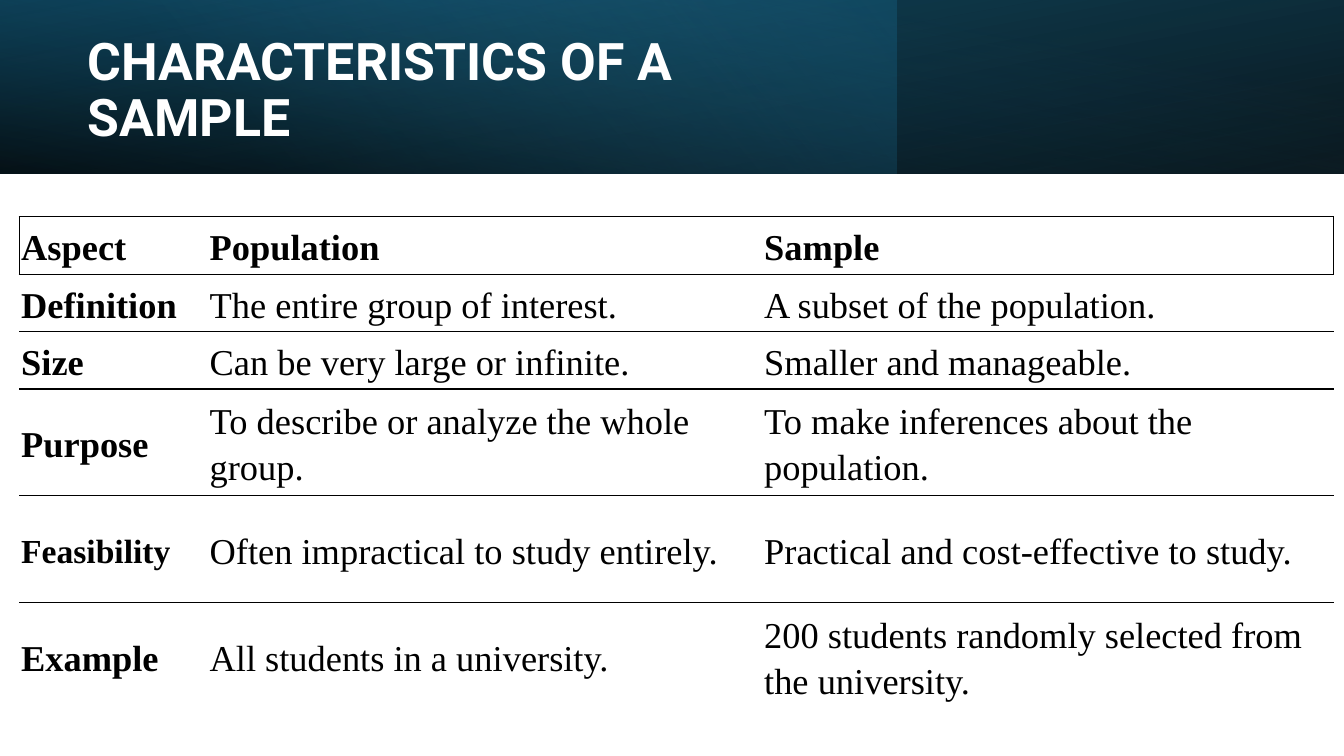
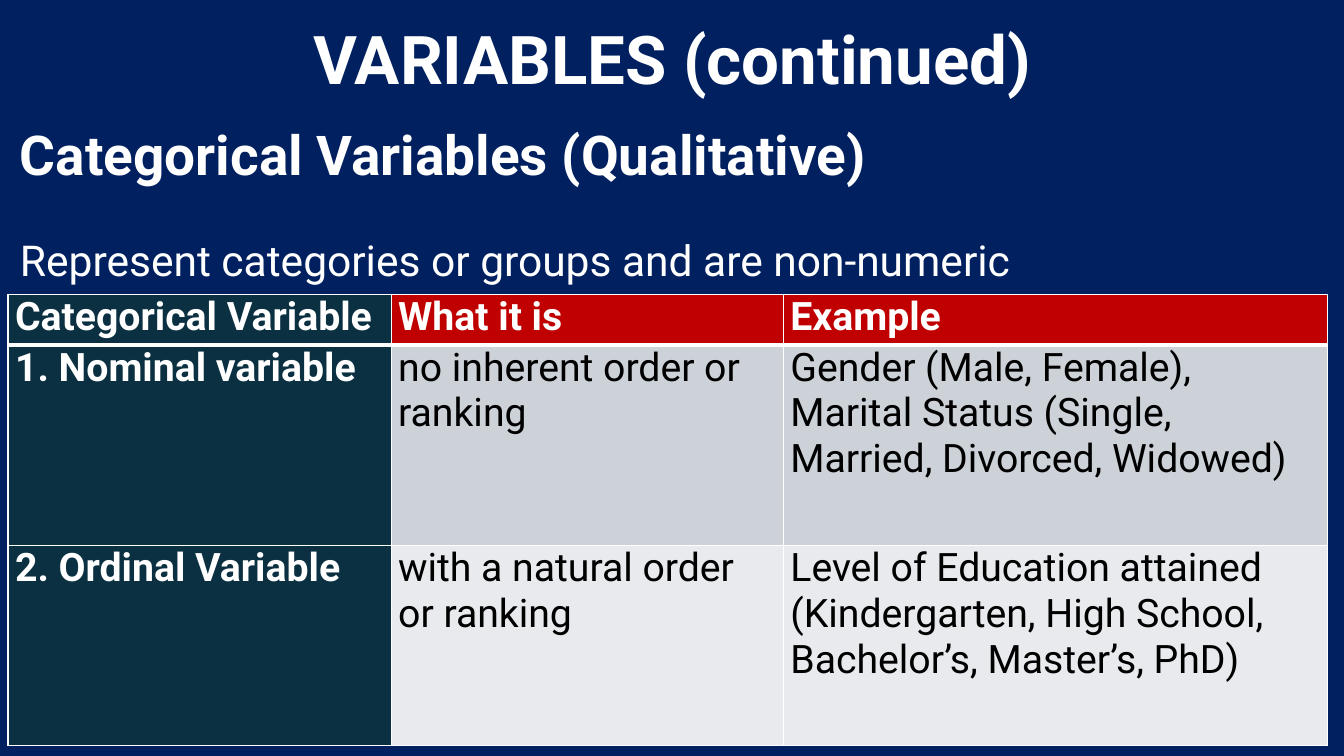
from dataclasses import dataclass

from lxml.etree import SubElement
from pptx import Presentation
from pptx.dml.color import RGBColor
from pptx.enum.shapes import MSO_SHAPE as SHAPE
from pptx.enum.text import MSO_ANCHOR as ANCHOR, MSO_AUTO_SIZE as AUTO, PP_ALIGN as ALIGN
from pptx.oxml import parse_xml
from pptx.oxml.ns import nsdecls, qn
from pptx.util import Inches, Pt


@dataclass(frozen=True)
class Theme:
    white: str = "FFFFFF"
    black: str = "000000"
    navy: str = "002060"
    teal: str = "156082"
    deep_teal: str = "104862"
    sky: str = "46B1E1"
    label: str = "0B3041"
    red: str = "C00000"
    stripes: tuple = ("CCD2D8", "E8EAED")
    sans: str = "Roboto"
    serif: str = "Times New Roman"
    band_title: float = 37
    title: float = 48
    heading: float = 39.2
    lead: float = 30.4
    grid: float = 28
    plain: float = 26
    plain_small: float = 24


T = Theme()


def rgb(color):
    return RGBColor.from_string(color)


def write(p, text, *, size, font=T.sans, color=T.white, bold=False,
          align=None, spacing=None, before=None):
    """Add text to a paragraph and set its format."""
    r = p.add_run()
    r.text = text
    r.font.name, r.font.size, r.font.bold = font, Pt(size), bold
    r.font.color.rgb = rgb(color)
    if align is not None:
        p.alignment = align
    if spacing is not None:
        p.line_spacing = spacing
    if before is not None:
        p.space_before = Pt(before)


def set_borders(cell, color, widths):
    """Set left, right, top and bottom lines in points; 0 means no line."""
    tcPr = cell._tc.get_or_add_tcPr()
    for i, (side, width) in enumerate(zip("LRTB", widths)):
        ln = parse_xml(f'<a:ln{side} {nsdecls("a")} w="{Pt(width)}"/>')
        if width:
            fill = SubElement(ln, qn("a:solidFill"))
            SubElement(fill, qn("a:srgbClr"), val=color)
        else:
            SubElement(ln, qn("a:noFill"))
        tcPr.insert(i, ln)


class Deck:
    def __init__(self):
        self.prs = Presentation()
        self.prs.slide_width, self.prs.slide_height = Inches(13.33), Inches(7.5)
        self.s = None

    def slide(self, background):
        self.s = self.prs.slides.add_slide(self.prs.slide_layouts[5])
        fill = self.s.background.fill
        fill.solid()
        fill.fore_color.rgb = rgb(background)

    def title(self, text, x, y, w, h, anchor=ANCHOR.MIDDLE, align=ALIGN.LEFT, size=T.title):
        sp = self.s.shapes.title
        sp.left, sp.top, sp.width, sp.height = map(Inches, (x, y, w, h))
        self.s.shapes._spTree.append(sp._element)  # bring above the bands
        tf = sp.text_frame
        tf.auto_size, tf.word_wrap, tf.vertical_anchor = AUTO.NONE, True, anchor
        write(tf.paragraphs[0], text, size=size, bold=True, align=align, spacing=0.9)

    def band(self, width, stops, angle, flip=False, rotation=0):
        """Add a top band; stops are (position %, color, opacity %)."""
        sp = self.s.shapes.add_shape(SHAPE.RECTANGLE, 0, 0, Inches(width), Inches(1.72))
        sp.shadow.inherit = False
        sp.rotation = rotation
        sp.line.fill.background()
        sp.fill.background()
        spPr = sp._element.spPr
        if flip:
            spPr.find(qn("a:xfrm")).set("flipH", "1")
        grad = parse_xml(f'<a:gradFill {nsdecls("a")} rotWithShape="1"/>')
        gsLst = SubElement(grad, qn("a:gsLst"))
        for pos, color, opacity in stops:
            gs = SubElement(gsLst, qn("a:gs"), pos=str(pos * 1000))
            clr = SubElement(gs, qn("a:srgbClr"), val=color)
            SubElement(clr, qn("a:alpha"), val=str(opacity * 1000))
        SubElement(grad, qn("a:lin"), ang=str(angle * 60000), scaled="0")
        spPr.replace(spPr.find(qn("a:noFill")), grad)

    def text(self, x, y, w, h, paragraphs):
        tf = self.s.shapes.add_textbox(*map(Inches, (x, y, w, h))).text_frame
        tf.word_wrap = True
        for i, (text, fmt) in enumerate(paragraphs):
            p = tf.add_paragraph() if i else tf.paragraphs[0]
            write(p, text, **fmt)

    def table(self, x, y, cols, rows, data, *, style, fill, line, h_rules, v_rule,
              margins, anchor=ANCHOR.TOP):
        """style(r, c) gives text format, fill(r, c) a color, v_rule(r, edge) a width."""
        tbl = self.s.shapes.add_table(
            len(rows), len(cols), *map(Inches, (x, y, sum(cols), sum(rows)))).table
        tbl.first_row = tbl.horz_banding = False
        for col, width in zip(tbl.columns, cols):
            col.width = Inches(width)
        for row, height in zip(tbl.rows, rows):
            row.height = Inches(height)
        mx, my = map(Inches, margins)
        for r, texts in enumerate(data):
            for c, text in enumerate(texts):
                cell = tbl.cell(r, c)
                cell.margin_left = cell.margin_right = mx
                cell.margin_top = cell.margin_bottom = my
                cell.vertical_anchor = anchor
                color = fill(r, c)
                if color:
                    cell.fill.solid()
                    cell.fill.fore_color.rgb = rgb(color)
                else:
                    cell.fill.background()
                set_borders(cell, line, (v_rule(r, c), v_rule(r, c + 1),
                                         h_rules[r], h_rules[r + 1]))
                write(cell.text_frame.paragraphs[0], text, **style(r, c))


def sample_slide(d):
    d.slide(T.white)
    # Layered gradient bands
    d.band(13.33, [(0, T.black, 96), (100, T.deep_teal, 100)], 100, flip=True, rotation=180)
    d.band(8.89, [(0, T.teal, 41), (74, T.sky, 0), (100, T.sky, 0)], 140)
    d.band(13.33, [(0, T.black, 63), (78, T.teal, 15), (100, T.teal, 15)], 260, flip=True)
    d.title("CHARACTERISTICS OF A SAMPLE", 0.77, 0.27, 7.72, 1.27, size=T.band_title)

    # Population and sample compared
    data = [
        ("Aspect", "Population", "Sample"),
        ("Definition", "The entire group of interest.", "A subset of the population."),
        ("Size", "Can be very large or infinite.", "Smaller and manageable."),
        ("Purpose", "To describe or analyze the whole group.",
         "To make inferences about the population."),
        ("Feasibility", "Often impractical to study entirely.",
         "Practical and cost-effective to study."),
        ("Example", "All students in a university.",
         "200 students randomly selected from the university."),
    ]

    def style(r, c):
        size = T.plain_small if data[r][c] == "Feasibility" else T.plain
        return dict(size=size, font=T.serif, color=T.black,
                    bold=r == 0 or c == 0, spacing=1.15)

    d.table(0.19, 2.15, (1.87, 5.5, 5.67), [0.57] * 3 + [1.06] * 3, data,
            style=style, fill=lambda r, c: None, line=T.black,
            h_rules=[1] * 6 + [0], v_rule=lambda r, edge: int(r == 0 and edge in (0, 3)),
            margins=(0.02, 0.02), anchor=ANCHOR.MIDDLE)


def variables_slide(d):
    d.slide(T.navy)
    d.title("VARIABLES (continued)", 1.67, 0.04, 10, 0.99,
            anchor=ANCHOR.BOTTOM, align=ALIGN.CENTER)
    d.text(0.1, 1.33, 13.07, 1.6, [
        ("Categorical Variables (Qualitative)", dict(size=T.heading, bold=True, spacing=0.7)),
        ("Represent categories or groups and are non-numeric",
         dict(size=T.lead, spacing=0.7, before=45)),
    ])

    # Kinds of categorical variable
    def style(r, c):
        label = r == 0 or c == 0
        return dict(size=T.grid, color=T.white if label else T.black, bold=label)

    def fill(r, c):
        if c == 0:
            return T.label
        return T.stripes[r - 1] if r else T.red

    d.table(0.08, 2.92, (3.8, 3.89, 5.4), (0.5, 1.99, 1.99), [
        ("Categorical Variable", "What it is", "Example"),
        ("1. Nominal variable", "no inherent order or ranking",
         "Gender (Male, Female), Marital Status (Single, Married, Divorced, Widowed)"),
        ("2. Ordinal Variable", "with a natural order or ranking",
         "Level of Education attained (Kindergarten, High School, Bachelor’s, Master’s, PhD)"),
    ], style=style, fill=fill, line=T.white, h_rules=(1, 3, 1, 1),
        v_rule=lambda r, edge: 1, margins=(0.07, 0))


def main():
    d = Deck()
    sample_slide(d)
    variables_slide(d)
    d.prs.save("out.pptx")


if __name__ == "__main__":
    main()
